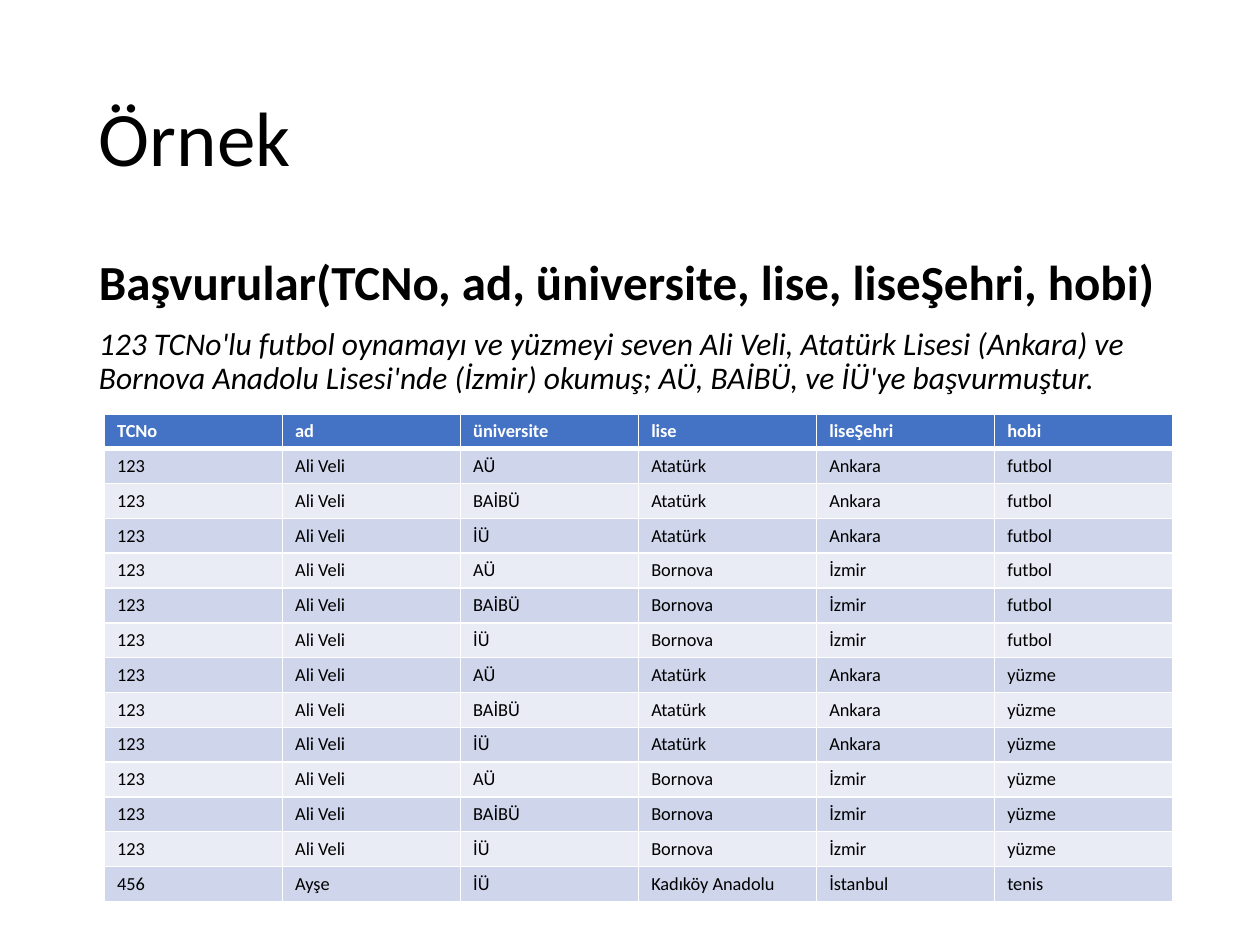
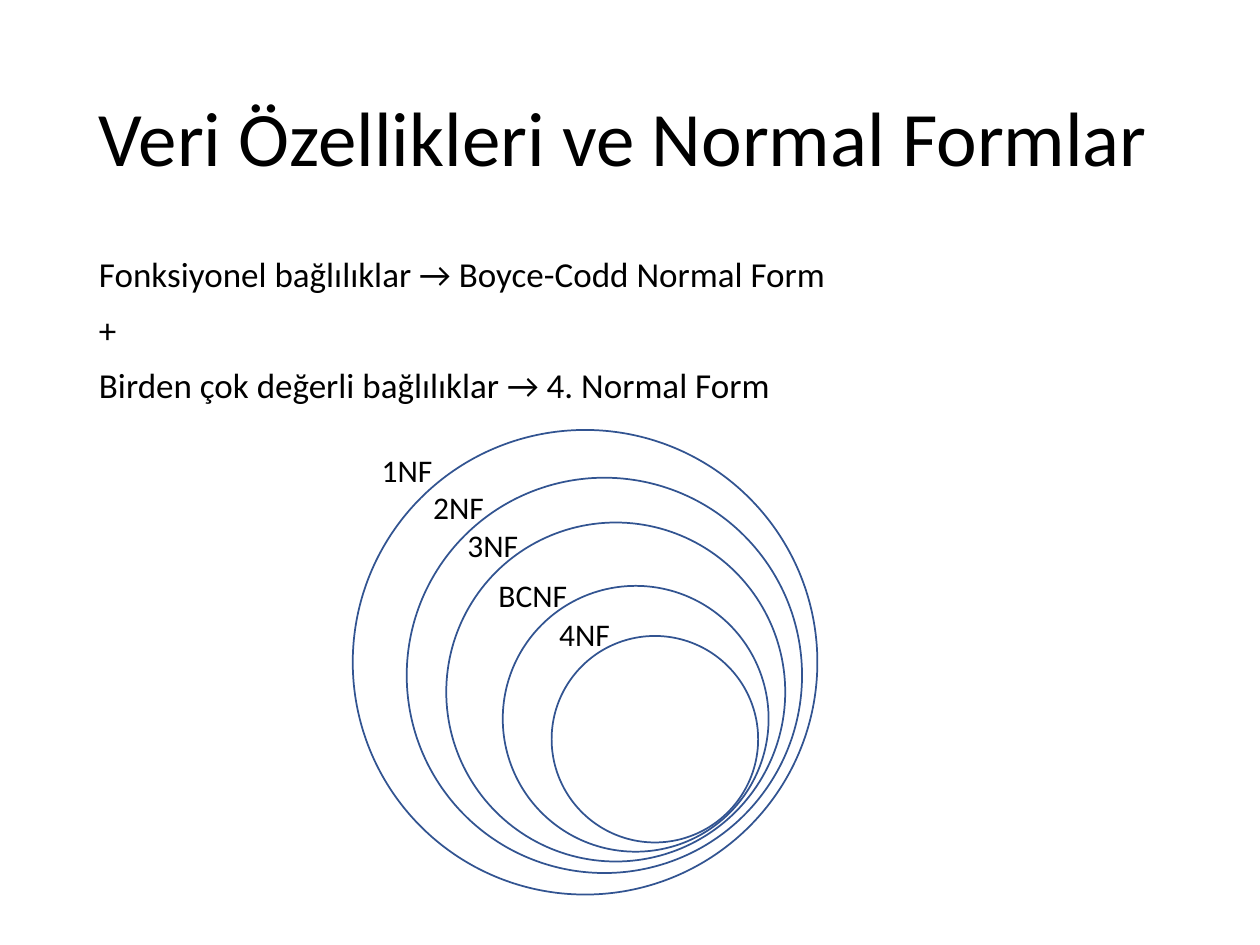
import itertools
import lxml.etree
import pptx
import pptx.util
import pptx.dml.color
import pptx.enum.shapes
import pptx.enum.text
import pptx.oxml.ns

Pt = pptx.util.Pt
FONT = "Calibri"
COLORS = {
    "text": "000000",
    "white": "FFFFFF",
    "head": "4472C4",
    "odd": "CFD5EA",
    "even": "E9EBF5",
    "ring": "325491",
}


def rgb(name):
    return pptx.dml.color.RGBColor.from_string(COLORS[name])


def add_text(slide, box, lines, wrap=True, middle=False, **space):
    """Each line is (text, size, bold, italic)."""
    frame = slide.shapes.add_textbox(*map(Pt, box)).text_frame
    frame.word_wrap = wrap
    if middle:
        frame.vertical_anchor = pptx.enum.text.MSO_ANCHOR.MIDDLE
    for i, (text, size, bold, italic) in enumerate(lines):
        para = frame.paragraphs[0] if i == 0 else frame.add_paragraph()
        para.text = text
        para.font.name = FONT
        para.font.size = Pt(size)
        para.font.bold = bold
        para.font.italic = italic
        para.font.color.rgb = rgb("text")
        para.line_spacing = space.get("line", 1.0)
        para.space_before = Pt(space.get("before", 0))


deck = pptx.Presentation()
deck.slide_width, deck.slide_height = Pt(720), Pt(540)

# Slides with their shared title and body style
pages = [
    ("Örnek", [
        ("Başvurular(TCNo, ad, üniversite, lise, liseŞehri, hobi)", 28, True, False),
        ("123 TCNo'lu futbol oynamayı ve yüzmeyi seven Ali Veli, Atatürk Lisesi "
         "(Ankara) ve Bornova Anadolu Lisesi'nde (İzmir) okumuş; AÜ, BAİBÜ, ve "
         "İÜ'ye başvurmuştur.", 18, False, True),
    ], 385),
    ("Veri Özellikleri ve Normal Formlar", [
        ("Fonksiyonel bağlılıklar → Boyce-Codd Normal Form", 20, False, False),
        ("+", 20, False, False),
        ("Birden çok değerli bağlılıklar → 4. Normal Form", 20, False, False),
    ], 96.5),
]
slides = []
for title, body, height in pages:
    slide = deck.slides.add_slide(deck.slide_layouts[6])
    add_text(slide, (49.5, 28.75, 621, 104.4), [(title, 44, False, False)],
             middle=True, line=0.9)
    add_text(slide, (49.5, 143.75, 621, height), body, line=0.9, before=10)
    slides.append(slide)

# Table of applications: every hobby with every school and university
schools = [("Atatürk", "Ankara"), ("Bornova", "İzmir")]
rows = [("TCNo", "ad", "üniversite", "lise", "liseŞehri", "hobi")]
for hobby, school, uni in itertools.product(
        ("futbol", "yüzme"), schools, ("AÜ", "BAİBÜ", "İÜ")):
    rows.append(("123", "Ali Veli", uni, *school, hobby))
rows.append(("456", "Ayşe", "İÜ", "Kadıköy Anadolu", "İstanbul", "tenis"))

wide, high = 101.75, 19.9
table = slides[0].shapes.add_table(
    len(rows), len(rows[0]), Pt(59.75), Pt(236.5),
    Pt(wide * len(rows[0])), Pt(high * len(rows))).table
for col in table.columns:
    col.width = Pt(wide)
for r, row in enumerate(rows):
    table.rows[r].height = Pt(high)
    fill = "head" if r == 0 else "odd" if r % 2 else "even"
    for c, value in enumerate(row):
        cell = table.cell(r, c)
        cell.text = value
        font = cell.text_frame.paragraphs[0].font
        font.name = FONT
        font.size = Pt(10.5)
        font.bold = r == 0
        font.color.rgb = rgb("white" if r == 0 else "text")
        # White borders, thick below the header
        props = cell._tc.get_or_add_tcPr()
        for side in "LRTB":
            thick = (r, side) in ((0, "B"), (1, "T"))
            line = lxml.etree.SubElement(
                props, pptx.oxml.ns.qn("a:ln" + side), w=str(Pt(3 if thick else 1)))
            solid = lxml.etree.SubElement(line, pptx.oxml.ns.qn("a:solidFill"))
            lxml.etree.SubElement(
                solid, pptx.oxml.ns.qn("a:srgbClr"), val=COLORS["white"])
        cell.fill.solid()
        cell.fill.fore_color.rgb = rgb(fill)

# Nested normal forms: ring left, top, size; label left, top, width
forms = [
    ("1NF", (201.6, 245.7, 265.5), (211, 254.25, 44)),
    ("2NF", (232.4, 273, 225.9), (240.5, 275.5, 44)),
    ("3NF", (255, 298.6, 193.7), (260, 297, 44)),
    ("BCNF", (287.3, 334.8, 151.9), (277.75, 325.5, 54)),
    ("4NF", (315.2, 363.4, 118), (312.5, 347.75, 44)),
]
for name, (left, top, size), spot in forms:
    ring = slides[1].shapes.add_shape(
        pptx.enum.shapes.MSO_SHAPE.OVAL, Pt(left), Pt(top), Pt(size), Pt(size))
    ring.shadow.inherit = False
    ring.fill.background()
    ring.line.color.rgb = rgb("ring")
    ring.line.width = Pt(1)
for name, ring, spot in forms:
    add_text(slides[1], (*spot, 29), [(name, 18, False, False)], wrap=False)

deck.save("out.pptx")
